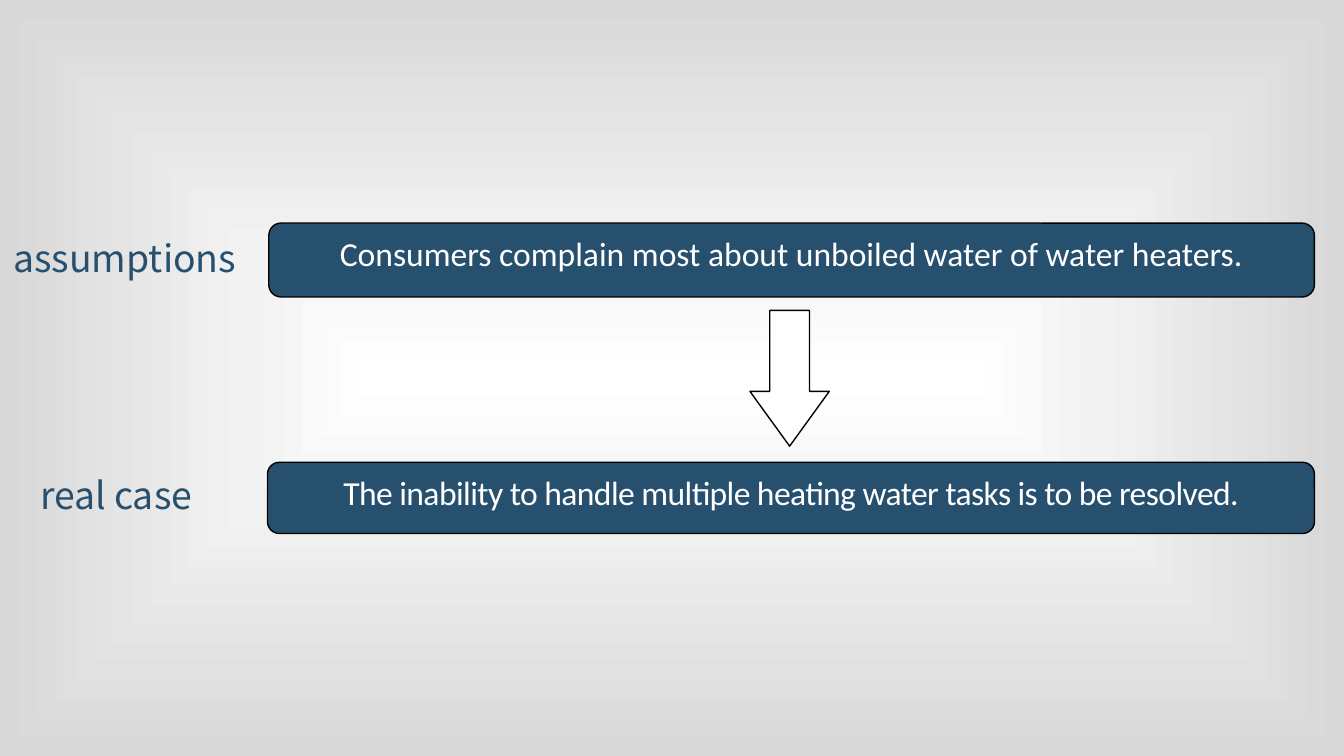
from dataclasses import dataclass

from pptx import Presentation
from pptx.dml.color import RGBColor
from pptx.enum.shapes import MSO_SHAPE as SHAPE
from pptx.enum.text import MSO_ANCHOR as ANCHOR, PP_ALIGN as ALIGN
from pptx.oxml import parse_xml
from pptx.oxml.ns import nsdecls
from pptx.util import Inches, Pt


@dataclass(frozen=True)
class Theme:
    """Colours, fonts and sizes of the slide."""
    navy: RGBColor = RGBColor(0x27, 0x50, 0x6E)
    white: RGBColor = RGBColor(0xFF, 0xFF, 0xFF)
    black: RGBColor = RGBColor(0x00, 0x00, 0x00)
    glow: tuple = ((0, "FFFFFF"), (35, "F2F2F2"), (100, "D8D8D8"))
    body_font: str = "Calibri"
    label_font: str = "Noto Sans CJK SC"
    body_size: int = Pt(18)
    label_size: int = Pt(20)
    line_width: int = Pt(0.75)


THEME = Theme()


def paint_background(slide):
    """Fill the background with a rectangular glow from the centre."""
    slide.background.fill.solid()
    solid = slide.element.xpath("p:cSld/p:bg/p:bgPr/a:solidFill")[0]
    stops = "".join(
        f'<a:gs pos="{pos * 1000}"><a:srgbClr val="{color}"/></a:gs>'
        for pos, color in THEME.glow)
    grad = parse_xml(
        f'<a:gradFill {nsdecls("a")} rotWithShape="1"><a:gsLst>{stops}</a:gsLst>'
        '<a:path path="rect"><a:fillToRect l="50000" t="50000" r="50000" b="50000"/>'
        '</a:path></a:gradFill>')
    solid.getparent().replace(solid, grad)


def write(sp, text, color, para, font):
    """Write one formatted line into a shape and return its paragraph and run."""
    tf = sp.text_frame
    tf.word_wrap = True
    tf.vertical_anchor = ANCHOR.TOP
    p = tf.paragraphs[0]
    r = p.add_run()
    r.text = text
    for target, values in ((p, para), (r.font, font)):
        for name, value in values.items():
            setattr(target, name, value)
    r.font.color.rgb = color
    return p, r


def add_block(slide, shape, box, fill):
    """Add an outlined preset shape in the given box."""
    sp = slide.shapes.add_shape(shape, *map(Inches, box))
    sp.shadow.inherit = False
    sp.fill.solid()
    sp.fill.fore_color.rgb = fill
    sp.line.color.rgb = THEME.black
    sp.line.width = THEME.line_width
    return sp


def add_statement(slide, box, text, spacing=0):
    """Add a navy bar holding one centred sentence."""
    sp = add_block(slide, SHAPE.FLOWCHART_ALTERNATE_PROCESS, box, THEME.navy)
    _, r = write(sp, text, THEME.white, {"alignment": ALIGN.CENTER},
                 {"name": THEME.body_font, "size": THEME.body_size})
    if spacing:
        r._r.get_or_add_rPr().set("spc", str(round(spacing * 100)))


def add_label(slide, box, text):
    """Add a row label with a hanging indent."""
    sp = slide.shapes.add_textbox(*map(Inches, box))
    p, _ = write(sp, text, THEME.navy,
                 {"alignment": ALIGN.LEFT, "line_spacing": 0.9},
                 {"name": THEME.label_font, "size": THEME.label_size})
    indent = Inches(0.75)
    props = p._p.get_or_add_pPr()
    props.set("marL", str(indent))
    props.set("indent", str(-indent))


def add_down_arrow(slide, box):
    """Add a right arrow turned to point down."""
    sp = add_block(slide, SHAPE.RIGHT_ARROW, box, THEME.white)
    sp.rotation = 90
    sp.adjustments[0] = 0.5
    sp.adjustments[1] = 0.69


def main():
    """Build the slide and save it."""
    prs = Presentation()
    prs.slide_width = Inches(10)
    prs.slide_height = prs.slide_width * 9 // 16
    slide = prs.slides.add_slide(prs.slide_layouts[6])
    paint_background(slide)
    add_down_arrow(slide, (5.37, 2.52, 1.01, 0.59))
    add_statement(slide, (2, 1.66, 7.78, 0.55),
                  "Consumers complain most about unboiled water of water heaters.")
    add_statement(slide, (1.99, 3.44, 7.79, 0.53),
                  "The inability to handle multiple heating water tasks is to be resolved.",
                  spacing=-0.3)
    add_label(slide, (0, 1.74, 1.93, 0.57), "assumptions")
    add_label(slide, (0.2, 3.5, 1.52, 0.57), "real case")
    prs.save("out.pptx")


if __name__ == "__main__":
    main()
